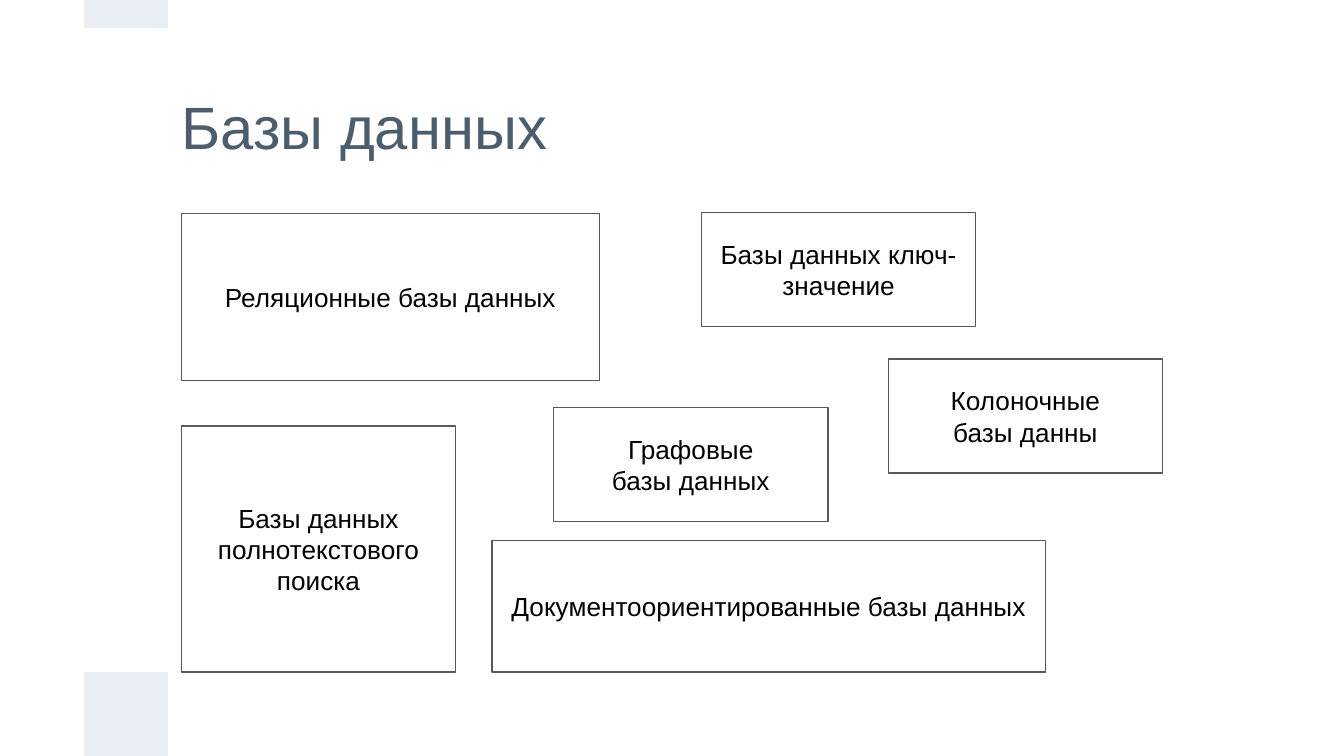
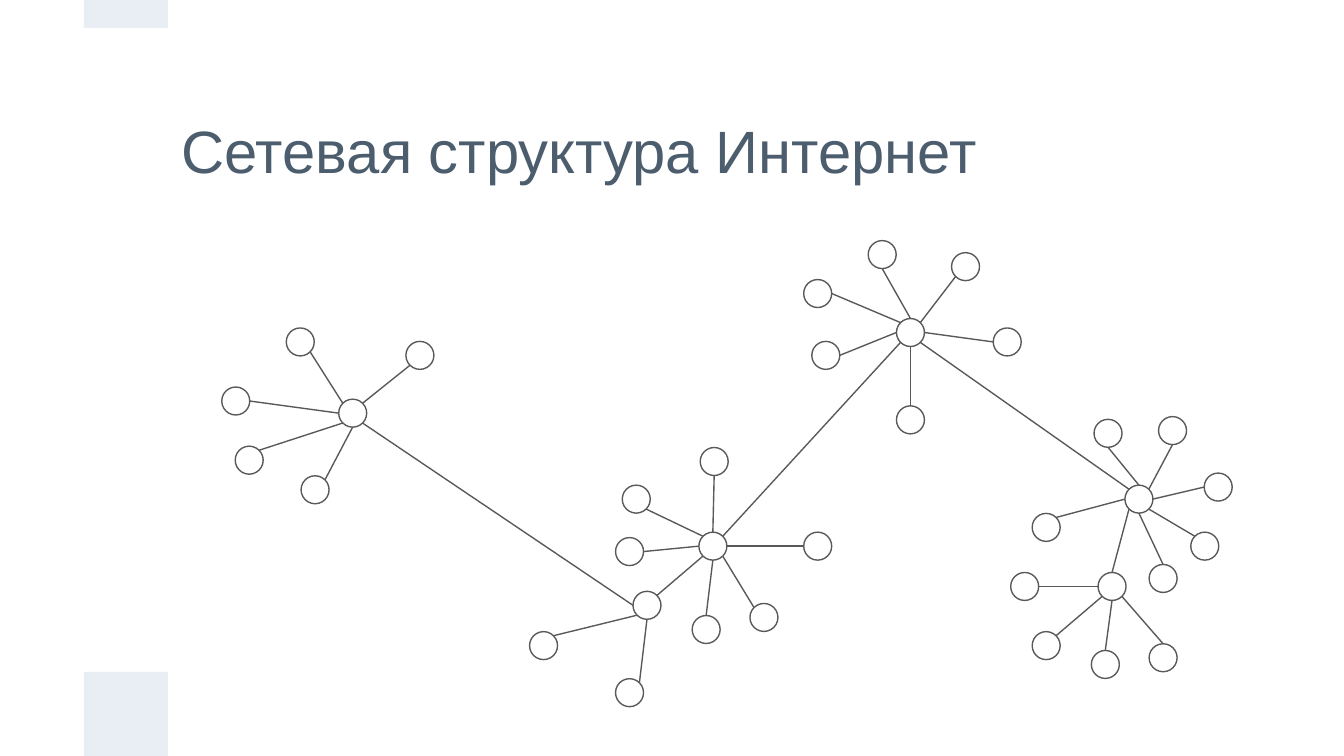
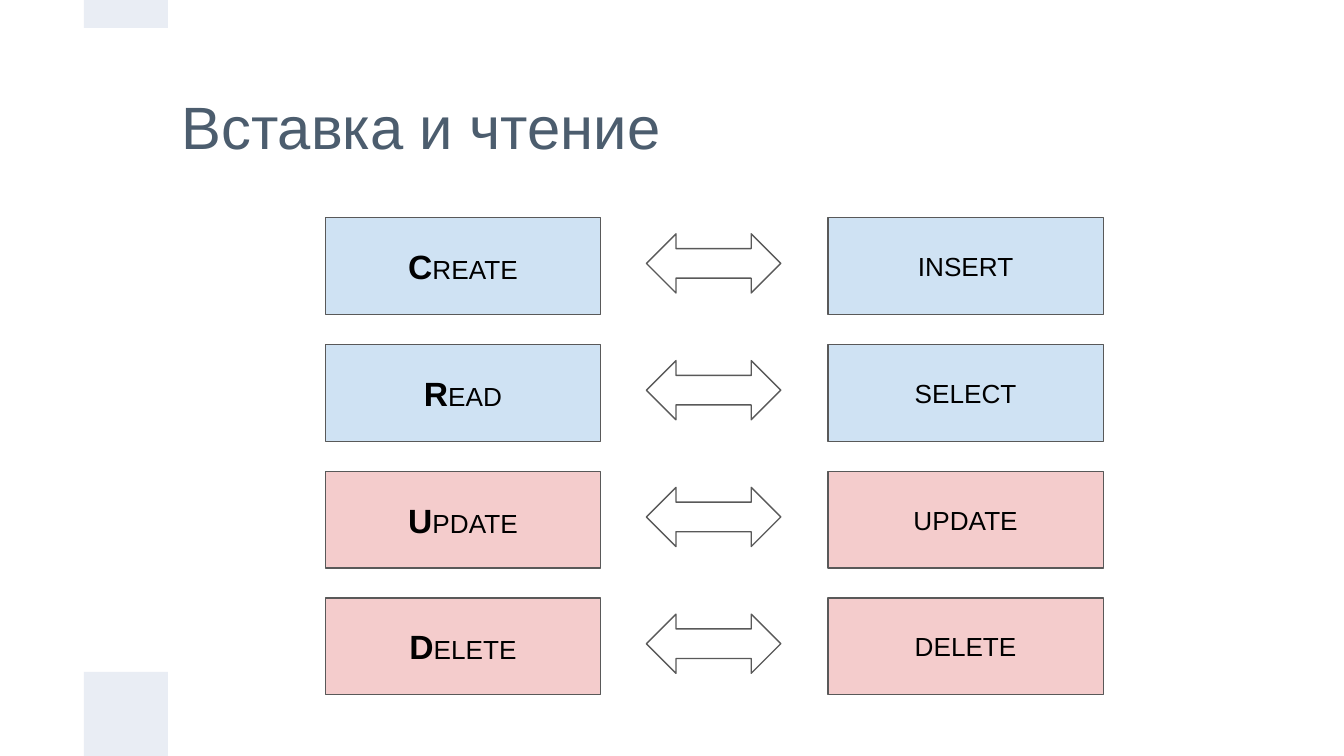
from math import sqrt

from lxml.etree import SubElement
from pptx import Presentation
from pptx.dml.color import RGBColor
from pptx.enum.shapes import MSO_CONNECTOR, MSO_SHAPE
from pptx.enum.text import MSO_ANCHOR, MSO_AUTO_SIZE, PP_ALIGN
from pptx.oxml.ns import qn
from pptx.util import Inches, Pt

FONT = "Arial"
TITLE = RGBColor(0x4C, 0x5D, 0x6E)
BAND = RGBColor(0xE9, 0xED, 0xF4)
OUTLINE = RGBColor(0x59, 0x59, 0x59)
BLACK = RGBColor(0x00, 0x00, 0x00)
BLUE = RGBColor(0xCF, 0xE2, 0xF3)
PINK = RGBColor(0xF4, 0xCC, 0xCC)

WIDTH = 10
HEIGHT = WIDTH * 9 / 16
BAND_SIZE = WIDTH / 16
NODE = BAND_SIZE / 3  # node diameter
DIAGONAL = 1 / sqrt(2)
SITES = {
    "N": (0, -1), "S": (0, 1), "W": (-1, 0), "E": (1, 0),
    "NW": (-DIAGONAL, -DIAGONAL), "NE": (DIAGONAL, -DIAGONAL),
    "SW": (-DIAGONAL, DIAGONAL), "SE": (DIAGONAL, DIAGONAL),
}


class Deck:
    def __init__(self):
        self.prs = Presentation()
        self.prs.slide_width = Inches(WIDTH)
        self.prs.slide_height = Inches(HEIGHT)
        self.s = None

    def slide(self, title, top, height):
        """Start a slide with its title and the two side bands."""
        self.s = self.prs.slides.add_slide(self.prs.slide_layouts[0])
        subtitle = self.s.placeholders[1].element
        subtitle.getparent().remove(subtitle)
        sp = self.s.shapes.title
        sp.left, sp.top = Inches(1.25), Inches(top)
        sp.width, sp.height = Inches(7.5), Inches(height)
        self.text(sp, title, 32, TITLE, PP_ALIGN.LEFT)
        for y, h in ((HEIGHT - BAND_SIZE, BAND_SIZE), (0, BAND_SIZE / 3)):
            band = self.shape(MSO_SHAPE.RECTANGLE, BAND_SIZE, y, BAND_SIZE, h, BAND)
            band.line.fill.background()

    def text(self, sp, text, size=14, color=BLACK, align=PP_ALIGN.CENTER):
        tf = sp.text_frame
        tf.text = text
        tf.word_wrap = True
        tf.auto_size = MSO_AUTO_SIZE.NONE
        tf.vertical_anchor = MSO_ANCHOR.MIDDLE
        tf.margin_left = tf.margin_right = tf.margin_top = tf.margin_bottom = Inches(0.1)
        for p in tf.paragraphs:
            p.alignment = align
            for r in p.runs:
                self.style(r, size, color)

    def style(self, r, size, color=BLACK, bold=False):
        r.font.name = FONT
        r.font.size = Pt(size)
        r.font.color.rgb = color
        r.font.bold = bold

    def shape(self, kind, x, y, w, h, fill=None):
        sp = self.s.shapes.add_shape(kind, Inches(x), Inches(y), Inches(w), Inches(h))
        sp.shadow.inherit = False
        if fill is None:
            sp.fill.background()
        else:
            sp.fill.solid()
            sp.fill.fore_color.rgb = fill
        sp.line.color.rgb = OUTLINE
        sp.line.width = Pt(0.75)
        return sp

    def box(self, text, x, y, w, h, fill=None):
        sp = self.shape(MSO_SHAPE.RECTANGLE, x, y, w, h, fill)
        self.text(sp, text)
        return sp

    def node(self, x, y):
        self.shape(MSO_SHAPE.OVAL, x, y, NODE, NODE)

    def link(self, start, start_site, end, end_site):
        """Join two nodes, given by their top left corners, at compass points."""
        ends = []
        for corner, site in ((start, start_site), (end, end_site)):
            ends += [Inches(c + NODE / 2 * (1 + d)) for c, d in zip(corner, SITES[site])]
        line = self.s.shapes.add_connector(MSO_CONNECTOR.STRAIGHT, *ends)
        line.line.color.rgb = OUTLINE
        line.line.width = Pt(0.75)
        SubElement(line._element.spPr, qn("a:effectLst"))


def databases(deck):
    deck.slide("Базы данных", 0.51, 0.85)
    for text, *place in (
        ("Колоночные\nбазы данны", 6.61, 2.67, 2.04, 0.85),
        ("Реляционные базы данных", 1.35, 1.59, 3.11, 1.24),
        ("Базы данных ключ-значение", 5.22, 1.58, 2.04, 0.85),
        ("Документоориентированные базы данных", 3.66, 4.02, 4.12, 0.98),
        ("Базы данных полнотекстового поиска", 1.35, 3.17, 2.04, 1.83),
        ("Графовые\nбазы данных", 4.12, 3.03, 2.04, 0.85),
    ):
        deck.box(text, *place)


def internet(deck):
    deck.slide("Сетевая структура Интернет", 0.62, 0.98)
    west, south, centre = (2.52, 2.97), (4.71, 4.4), (5.2, 3.96)
    north, east, south_east = (6.67, 2.37), (8.37, 3.61), (8.17, 4.26)
    # Leaves of each hub: corner, site on the hub, site on the leaf
    clusters = {
        west: (
            (3.02, 2.54, "NE", "SW"), (2.13, 2.44, "NW", "SE"), (2.24, 3.54, "S", "NE"),
            (1.75, 3.32, "SW", "NE"), (1.65, 2.88, "W", "E"),
        ),
        south: ((3.94, 4.7, "SW", "NE"), (4.58, 5.05, "S", "NE")),
        centre: (
            (5.21, 3.33, "N", "S"), (4.63, 3.61, "NW", "SE"), (4.58, 4, "W", "E"),
            (5.15, 4.58, "S", "N"), (5.58, 4.49, "SE", "NW"), (5.98, 3.96, "E", "W"),
        ),
        north: (
            (7.08, 1.88, "NE", "SW"), (6.46, 1.79, "N", "S"), (5.98, 2.08, "NW", "E"),
            (6.04, 2.54, "W", "E"), (6.67, 3.02, "S", "N"), (7.39, 2.44, "E", "W"),
        ),
        east: (
            (8.96, 3.52, "E", "W"), (8.62, 3.1, "NE", "S"), (8.14, 3.12, "N", "S"),
            (7.68, 3.82, "W", "NE"), (8.86, 3.96, "SE", "NW"), (8.55, 4.2, "S", "N"),
        ),
        south_east: (
            (7.52, 4.26, "W", "E"), (7.68, 4.7, "SW", "NE"),
            (8.12, 4.84, "S", "N"), (8.55, 4.79, "SE", "N"),
        ),
    }
    for hub, leaves in clusters.items():
        deck.node(*hub)
        for x, y, hub_site, leaf_site in leaves:
            deck.node(x, y)
            deck.link(hub, hub_site, (x, y), leaf_site)
    for backbone in (
        (west, "SE", south, "W"),
        (south, "NE", centre, "SW"),
        (centre, "NE", north, "SW"),
        (north, "SE", east, "NW"),
        (east, "SW", south_east, "N"),
    ):
        deck.link(*backbone)


def crud(deck):
    deck.slide("Вставка и чтение", 0.31, 1.25)
    first, last = 1.62, 4.45
    rows = (
        ("CREATE", "INSERT", BLUE),
        ("READ", "SELECT", BLUE),
        ("UPDATE", "UPDATE", PINK),
        ("DELETE", "DELETE", PINK),
    )
    pitch = (last - first) / (len(rows) - 1)
    for i, (action, command, fill) in enumerate(rows):
        y = first + pitch * i
        p = deck.box(action[0], 2.42, y, 2.05, 0.72, fill).text_frame.paragraphs[0]
        deck.style(p.runs[0], 18, bold=True)
        r = p.add_run()
        r.text = action[1:]
        deck.style(r, 14)
        deck.box(command, 6.16, y, 2.05, 0.72, fill)
        deck.shape(MSO_SHAPE.LEFT_RIGHT_ARROW, 4.81, y + 0.12, 1, 0.44)


def main():
    deck = Deck()
    databases(deck)
    internet(deck)
    crud(deck)
    deck.prs.save("out.pptx")


if __name__ == "__main__":
    main()
